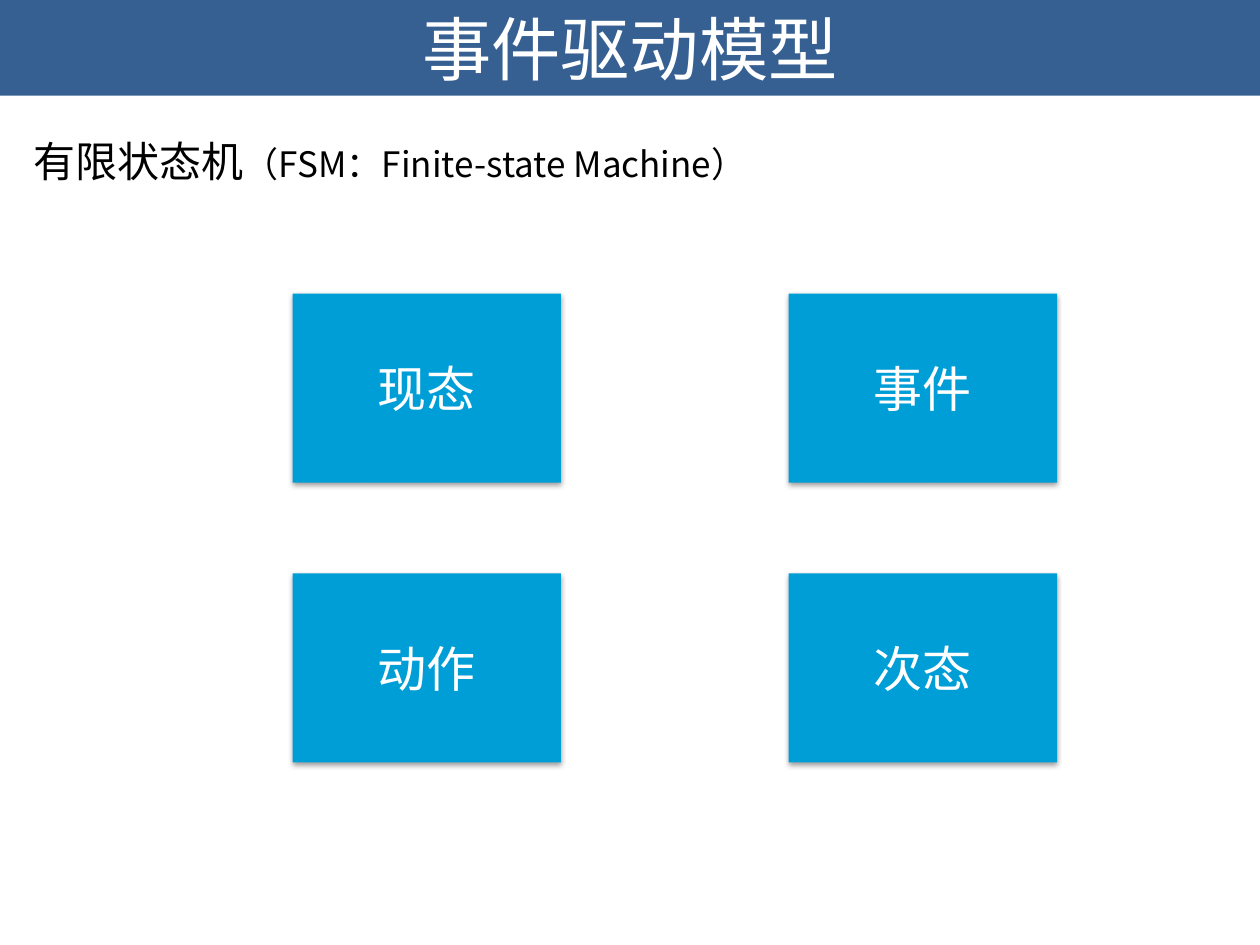
"""Build the event-driven model slide with its four state machine parts."""
import lxml.etree
import pptx
import pptx.dml.color
import pptx.enum.shapes
import pptx.enum.text
import pptx.oxml
import pptx.oxml.ns
import pptx.util

Cm = pptx.util.Cm
FONT = "Noto Sans CJK SC"
HUES = {"bar": "376092", "box": "009ED6", "light": "FFFFFF", "dark": "000000"}
SHADE = (
    '<a:outerShdw xmlns:a="http://schemas.openxmlformats.org/drawingml/2006/main" '
    'blurRad="40000" dist="20000" dir="5400000" rotWithShape="0">'
    f'<a:srgbClr val="{HUES["dark"]}"><a:alpha val="38000"/></a:srgbClr></a:outerShdw>'
)


def add_run(para, text, size, hue):
    run = para.add_run()
    run.text = text
    run.font.size = pptx.util.Pt(size)
    run.font.name = FONT
    run.font.color.rgb = pptx.dml.color.RGBColor.from_string(HUES[hue])
    east = lxml.etree.SubElement(run.font._element, pptx.oxml.ns.qn("a:ea"))
    east.set("typeface", FONT)


def add_box(left, top, width, height, hue, text, size):
    box = slide.shapes.add_shape(
        pptx.enum.shapes.MSO_SHAPE.RECTANGLE, Cm(left), Cm(top), Cm(width), Cm(height)
    )
    box.shadow.inherit = False
    box.fill.solid()
    box.fill.fore_color.rgb = pptx.dml.color.RGBColor.from_string(HUES[hue])
    box.line.fill.background()
    box.text_frame.vertical_anchor = pptx.enum.text.MSO_ANCHOR.MIDDLE
    para = box.text_frame.paragraphs[0]
    para.alignment = pptx.enum.text.PP_ALIGN.CENTER
    add_run(para, text, size, "light")
    return box


deck = pptx.Presentation()
deck.slide_width, deck.slide_height = Cm(25.4), Cm(19.05)
slide = deck.slides.add_slide(deck.slide_layouts[6])

add_box(0, 0, 25.4, 1.93, "bar", "事件驱动模型", 39.6)

head = slide.shapes.add_textbox(Cm(0.43), Cm(2.74), Cm(25.4), Cm(1.65))
head.text_frame.word_wrap = True
head.text_frame.margin_top = 0
line = head.text_frame.paragraphs[0]
add_run(line, "有限状态机", 24, "dark")
add_run(line, "（FSM：Finite-state Machine）", 20, "dark")

for i, name in enumerate(("现态", "事件", "动作", "次态")):
    row, col = divmod(i, 2)
    part = add_box(5.9 + col * 10, 5.92 + row * 5.64, 5.41, 3.81, "box", name, 28)
    glow = part._element.spPr.find(pptx.oxml.ns.qn("a:effectLst"))
    glow.append(pptx.oxml.parse_xml(SHADE))

deck.save("out.pptx")
